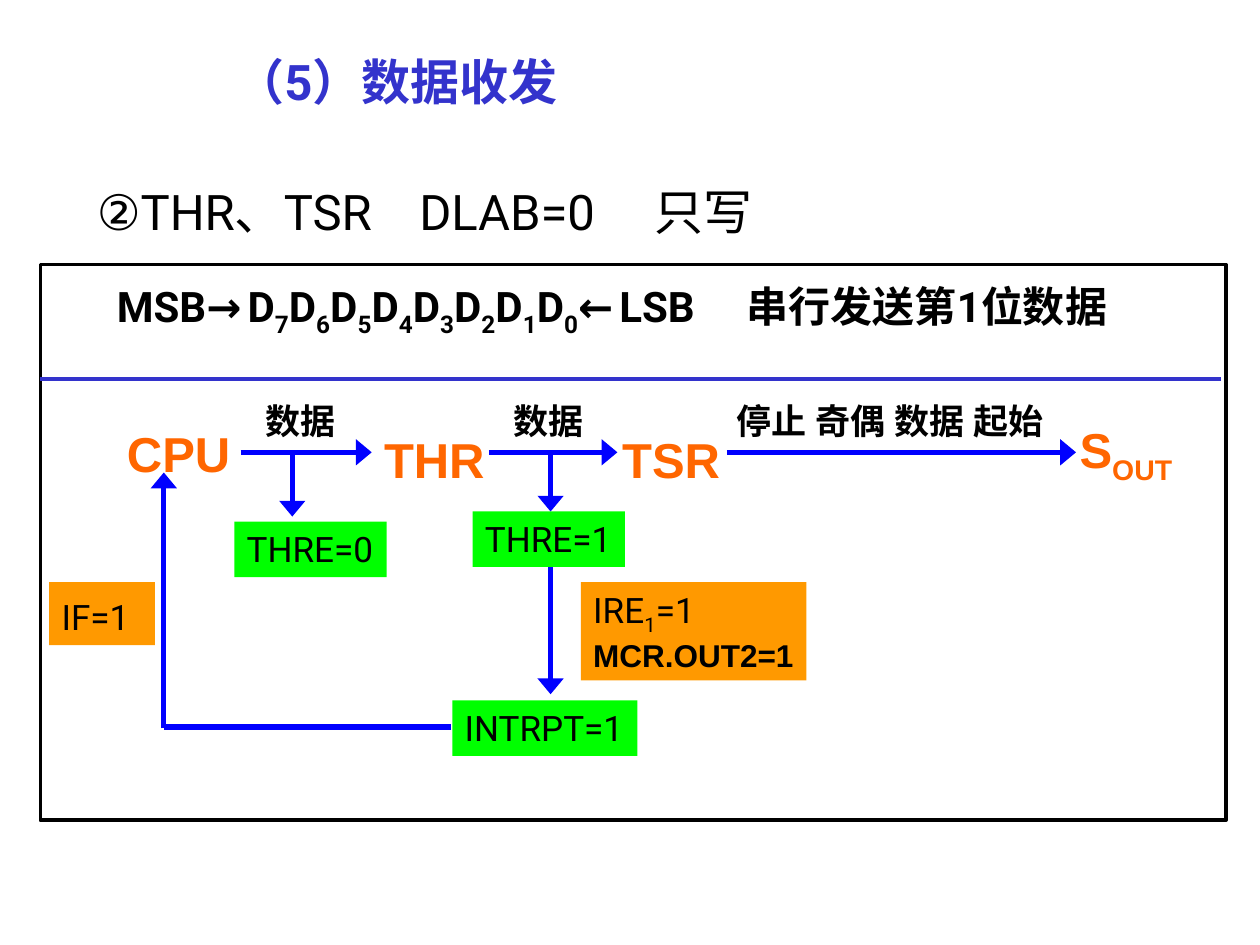
from dataclasses import dataclass

from lxml import etree
from pptx import Presentation
from pptx.dml.color import RGBColor
from pptx.enum.shapes import MSO_CONNECTOR, MSO_SHAPE
from pptx.enum.text import MSO_ANCHOR, MSO_AUTO_SIZE, PP_ALIGN
from pptx.oxml.ns import qn
from pptx.util import Inches, Pt

STRAIGHT = MSO_CONNECTOR.STRAIGHT
RECTANGLE = MSO_SHAPE.RECTANGLE
TOP = MSO_ANCHOR.TOP
LEFT = PP_ALIGN.LEFT
GROW = MSO_AUTO_SIZE.SHAPE_TO_FIT_TEXT


@dataclass(frozen=True)
class Theme:
    """Colours, fonts and type sizes of the page."""
    black: str = "000000"
    title: str = "3333CC"
    flow: str = "0000FF"
    unit: str = "FF6600"
    status: str = "00FF00"
    condition: str = "FF9900"
    body_font: str = "Roboto"
    unit_font: str = "Arial"
    heading: int = 28
    bits: int = 24
    label: int = 20
    register: int = 18
    flow_width: int = 3
    rule_width: int = 2


THEME = Theme()
HEADING = {"name": THEME.body_font, "size": THEME.heading, "bold": False, "color": THEME.black}
TITLE = HEADING | {"bold": True, "color": THEME.title}
BITS = HEADING | {"size": THEME.bits, "bold": True}
FLAG = HEADING | {"size": THEME.label}
DATA = FLAG | {"bold": True}
UNIT = TITLE | {"name": THEME.unit_font, "color": THEME.unit}
REGISTER = UNIT | {"size": THEME.register, "color": THEME.black}
SUBSCRIPT = {"extra": {"baseline": "-25000"}}
SPACED = {"extra": {"spc": "340"}}


def add_span(para, text, style):
    """Add one run of text in the given style."""
    span = para.add_run()
    span.text = text
    values = {"name": style["name"], "size": Pt(style["size"]), "bold": style["bold"]}
    for name, value in values.items():
        setattr(span.font, name, value)
    span.font.color.rgb = RGBColor.from_string(style["color"])
    properties = span.font._element
    etree.SubElement(properties, qn("a:ea"), typeface=style["name"])
    for name, value in style.get("extra", {}).items():
        properties.set(name, value)


def write(box, lines, wrap=True):
    """Fill a box with lines, each a list of (text, style) spans."""
    frame = box.text_frame
    settings = {"word_wrap": wrap, "auto_size": GROW, "vertical_anchor": TOP}
    for name, value in settings.items():
        setattr(frame, name, value)
    for index, spans in enumerate(lines):
        para = frame.add_paragraph() if index else frame.paragraphs[0]
        para.alignment = LEFT
        for text, style in spans:
            add_span(para, text, style)


def add_text(page, place, spans, tabs=()):
    """Add a one-line text box with optional tab stops in inches."""
    box = page.shapes.add_textbox(*map(Inches, place))
    if tabs:
        properties = box.text_frame.paragraphs[0]._p.get_or_add_pPr()
        stops = etree.SubElement(properties, qn("a:tabLst"))
        for stop in tabs:
            etree.SubElement(stops, qn("a:tab"), pos=str(Inches(stop)), algn="l")
    write(box, [spans])


def add_block(page, place, color, lines, wrap=False):
    """Add a filled rectangle with text."""
    block = page.shapes.add_shape(RECTANGLE, *map(Inches, place))
    block.shadow.inherit = False
    block.fill.solid()
    block.fill.fore_color.rgb = RGBColor.from_string(color)
    block.line.fill.background()
    write(block, lines, wrap)


def add_frame(page, place):
    """Add the black outline around the diagram."""
    frame = page.shapes.add_shape(RECTANGLE, *map(Inches, place))
    frame.shadow.inherit = False
    frame.fill.background()
    frame.line.color.rgb = RGBColor.from_string(THEME.black)
    frame.line.width = Pt(THEME.rule_width)


def add_line(page, ends, color=THEME.flow, width=THEME.flow_width, arrow=True):
    """Add a straight line, by default with an arrowhead at its end."""
    line = page.shapes.add_connector(STRAIGHT, *map(Inches, ends))
    line.line.color.rgb = RGBColor.from_string(color)
    line.line.width = Pt(width)
    if arrow:
        etree.SubElement(line.line._get_or_add_ln(), qn("a:tailEnd"),
                         type="triangle", w="lg", len="med")
    etree.SubElement(line._element.spPr, qn("a:effectLst"))


def add_headings(page):
    """Add the title, the register line and the bit order line."""
    add_text(page, (1.77, 0.36, 7.08, 0.57), [("（5）数据收发", TITLE)])
    add_text(page, (0.67, 1.39, 5.43, 1.04),
             [("②THR、TSR\tDLAB=0\t只写", HEADING)], tabs=(2.56, 4.43))
    bits = [("MSB", BITS), ("→", BITS | SPACED)]
    for bit in range(7, -1, -1):
        bits += [("D", BITS), (str(bit), BITS | SUBSCRIPT)]
    bits += [("←", BITS | SPACED), ("LSB\t串行发送第1位数据", BITS)]
    add_text(page, (0.83, 2.18, 8.74, 0.56), bits, tabs=(5,))


def add_flow(page):
    """Add the lines between the units."""
    bus, ready, back = 3.59, 4.37, 1.3
    for start, end in ((1.91, 2.95), (3.88, 4.9), (5.77, 8.54)):
        add_line(page, (start, bus, end, bus))
    for x, start, end in ((2.32, bus, 4.1), (ready, bus, 4.06),
                          (ready, 4.49, 5.51), (back, 5.78, 3.75)):
        add_line(page, (x, start, x, end))
    add_line(page, (back, 5.77, 3.58, 5.77), arrow=False)


def add_labels(page):
    """Add the unit names, data labels and flag blocks."""
    for left, width, text in ((2.01, 1, "数据"), (3.98, 1, "数据"),
                              (5.75, 3, "停止 奇偶 数据 起始")):
        add_text(page, (left, 3.12, width, 0.44), [(text, DATA)])
    for left, top, text in ((0.91, 3.31, "CPU"), (2.95, 3.36, "THR"), (4.84, 3.36, "TSR")):
        add_text(page, (left, top, 1.1, 0.57), [(text, UNIT)])
    add_text(page, (8.47, 3.28, 1.1, 0.63), [("S", UNIT), ("OUT", UNIT | SUBSCRIPT)])
    for left, top, width, text in ((1.86, 4.14, 1.21, "THRE=0"), (3.75, 4.06, 1.21, "THRE=1"),
                                   (3.59, 5.56, 1.47, "INTRPT=1")):
        add_block(page, (left, top, width, 0.44), THEME.status, [[(text, FLAG)]])
    add_block(page, (0.39, 4.62, 0.84, 0.5), THEME.condition,
              [[("IF=1", FLAG), (" ", HEADING | {"size": THEME.bits})]])
    enable = [("IRE", FLAG), ("1", FLAG | SUBSCRIPT), ("=1", FLAG)]
    add_block(page, (4.61, 4.62, 1.79, 0.78), THEME.condition,
              [enable, [("MCR.OUT2=1", REGISTER)]], wrap=True)


def main():
    """Build the deck and save it."""
    deck = Presentation()
    deck.slide_width, deck.slide_height = Inches(10), Inches(7.5)
    page = deck.slides.add_slide(deck.slide_layouts[6])
    add_headings(page)
    add_flow(page)
    add_labels(page)
    add_frame(page, (0.32, 2.1, 9.41, 4.41))
    add_line(page, (0.32, 3.01, 9.69, 3.01), THEME.title, THEME.rule_width, arrow=False)
    deck.save("out.pptx")


if __name__ == "__main__":
    main()
